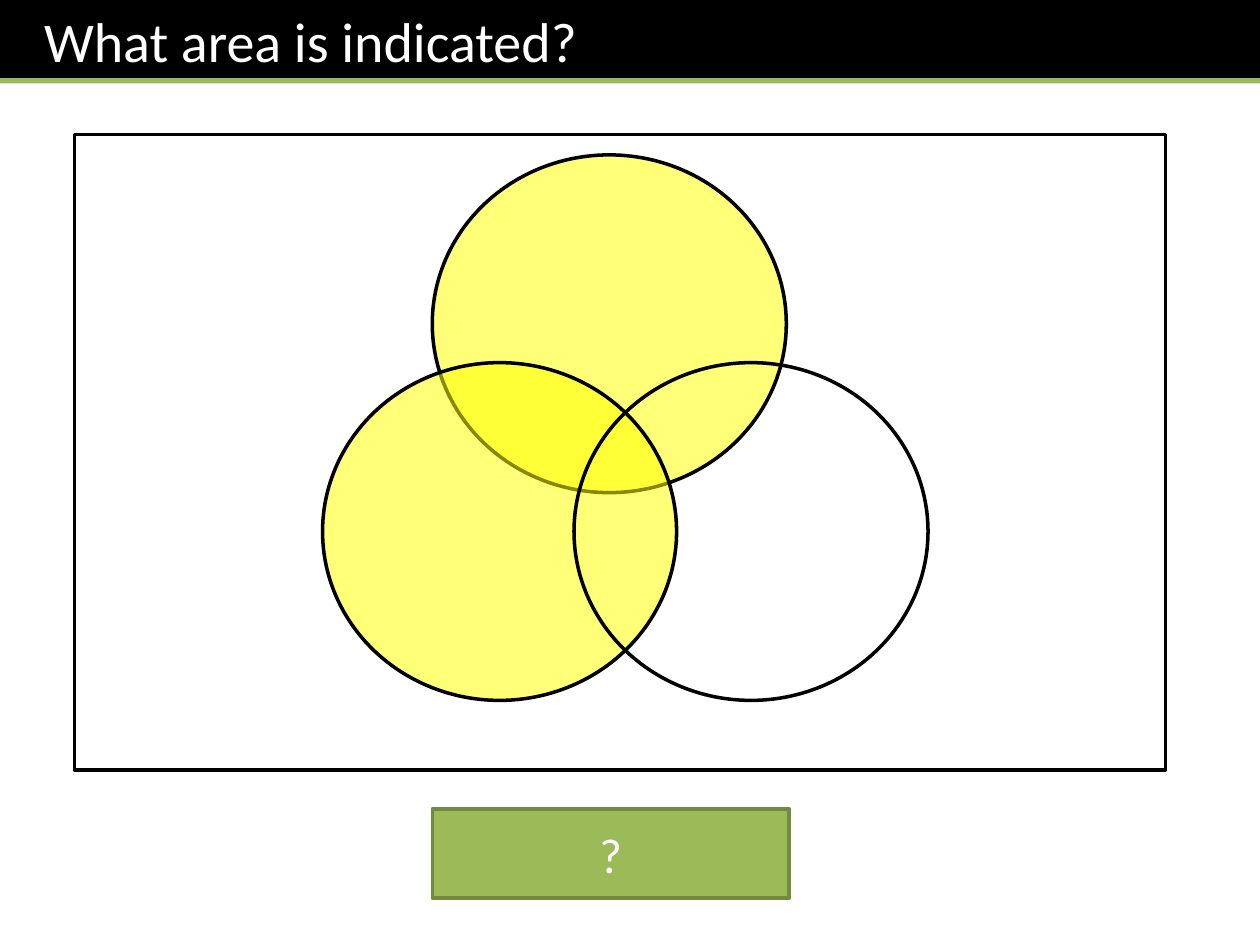
"""Build a quiz slide with a three-set Venn diagram."""
from lxml import etree
from pptx import Presentation
from pptx import util as u
from pptx.dml.color import RGBColor
from pptx.enum import shapes, text
from pptx.oxml import ns

BLACK = RGBColor(0x00, 0x00, 0x00)
WHITE = RGBColor(0xFF, 0xFF, 0xFF)
YELLOW = RGBColor(0xFF, 0xFF, 0x00)
GREEN = RGBColor(0x9B, 0xBB, 0x59)
DARK_GREEN = RGBColor(0x73, 0x8A, 0x42)


def add_box(kind, left, top, width, height, fill=None, line=None):
    shape = slide.shapes.add_shape(kind, u.Pt(left), u.Pt(top), u.Pt(width), u.Pt(height))
    shape.shadow.inherit = False
    if fill is None:
        shape.fill.background()
    else:
        shape.fill.solid()
        shape.fill.fore_color.rgb = fill
    if line is None:
        shape.line.fill.background()
    else:
        shape.line.color.rgb = line
        shape.line.width = u.Pt(2)
    return shape


def add_text(shape, words, size, alignment, anchor):
    shape.text_frame.word_wrap = True
    shape.text_frame.vertical_anchor = anchor
    paragraph = shape.text_frame.paragraphs[0]
    paragraph.alignment = alignment
    run = paragraph.add_run()
    run.text = words
    run.font.name = "Calibri"
    run.font.size = u.Pt(size)
    run.font.color.rgb = WHITE


presentation = Presentation()
presentation.slide_width = u.Pt(720)
presentation.slide_height = u.Pt(540)
slide = presentation.slides.add_slide(presentation.slide_layouts[6])

RECTANGLE = shapes.MSO_SHAPE.RECTANGLE
for left, top, fill in [(247, 88.5, YELLOW), (184.3, 207.2, YELLOW), (328, 207.2, None)]:
    circle = add_box(shapes.MSO_SHAPE.OVAL, left, top, 202.3, 193, fill, BLACK)
    if fill is not None:
        color = circle.fill._xPr.find(ns.qn("a:solidFill"))[0]
        etree.SubElement(color, ns.qn("a:alpha"), val="53000")

add_box(RECTANGLE, 42.5, 77, 623.5, 363, line=BLACK)

answer = add_box(RECTANGLE, 247, 462.2, 204, 51.1, GREEN, DARK_GREEN)
add_text(answer, "?", 28, text.PP_ALIGN.CENTER, text.MSO_ANCHOR.MIDDLE)

title = add_box(RECTANGLE, 0, 0, 720, 47.5, BLACK)
title.text_frame.margin_left = u.Pt(25.2)
add_text(title, "What area is indicated?", 32, text.PP_ALIGN.LEFT, text.MSO_ANCHOR.TOP)

rule = slide.shapes.add_connector(
    shapes.MSO_CONNECTOR.STRAIGHT, u.Pt(0), u.Pt(46.1), u.Pt(720), u.Pt(46.1))
rule.line.color.rgb = GREEN
rule.line.width = u.Pt(3)
etree.SubElement(rule._element.spPr, ns.qn("a:effectLst"))

presentation.save("out.pptx")
